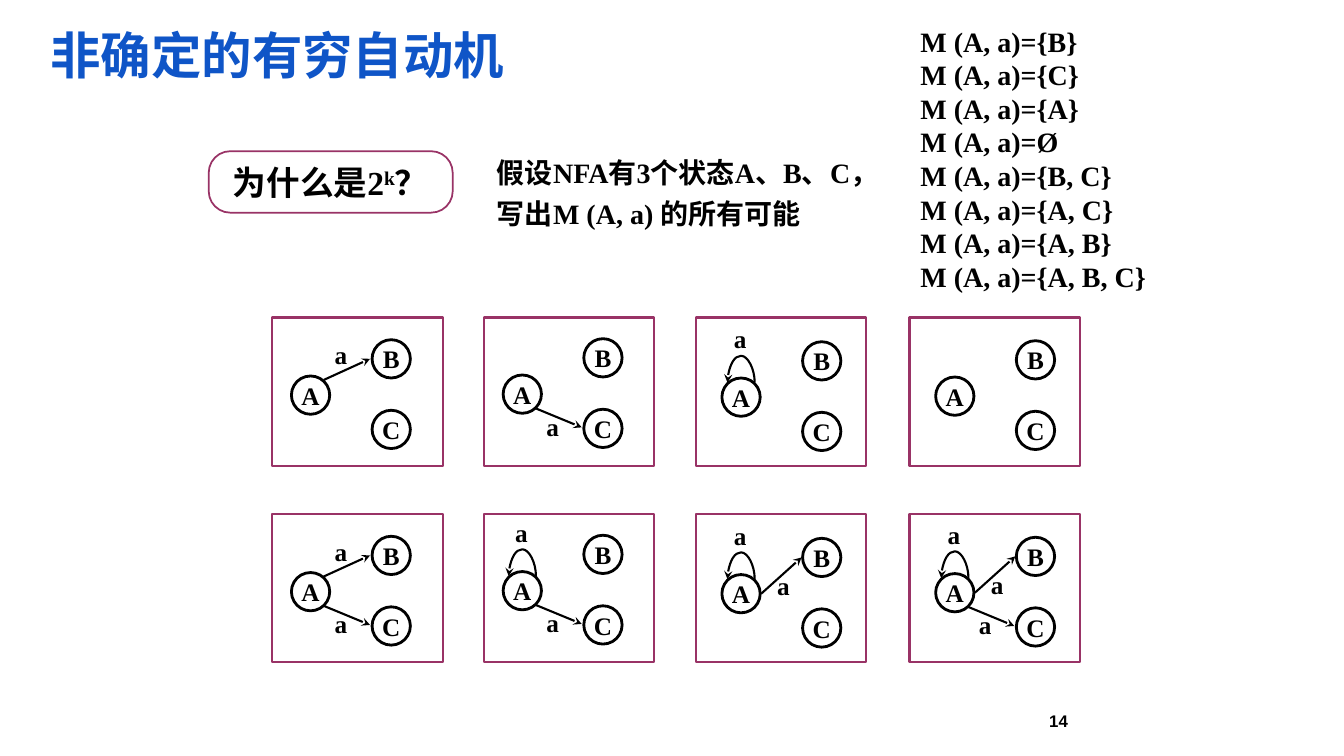
from dataclasses import dataclass
from typing import Any

from lxml import etree
from pptx import Presentation
from pptx.dml.color import RGBColor
from pptx.enum.shapes import MSO_CONNECTOR, MSO_SHAPE
from pptx.enum.text import MSO_ANCHOR, MSO_AUTO_SIZE, PP_ALIGN
from pptx.oxml.ns import qn
from pptx.util import Emu, Inches, Pt

STRAIGHT, CURVE = MSO_CONNECTOR.STRAIGHT, MSO_CONNECTOR.CURVE
RECTANGLE, ROUNDED, OVAL = MSO_SHAPE.RECTANGLE, MSO_SHAPE.ROUNDED_RECTANGLE, MSO_SHAPE.OVAL
LEFT, CENTER, RIGHT = PP_ALIGN.LEFT, PP_ALIGN.CENTER, PP_ALIGN.RIGHT
TOP, MIDDLE = MSO_ANCHOR.TOP, MSO_ANCHOR.MIDDLE
NO_FIT = MSO_AUTO_SIZE.NONE

GRID_CELL = Inches(1)
COLUMNS, ROWS = 13.33, 7.5
PLUM, BLACK, BLUE = "993366", "000000", "0F55C7"
SERIF, SANS = "Times New Roman", "Arial"

FRAME_SIZE = (1.69, 1.47)
FRAME_TOP, FRAME_PITCH = 3.15, 1.95
STATE_SIZE = 0.38
LABEL_SIZE = (0.39, 0.4)
STATES = {"A": (0, 0), "B": (0.8, -0.36), "C": (0.8, 0.34)}
LOOP_LABEL = (0.02, -0.59)
LOOP_BOX = (0.19, -0.09)
LOOP_THICKNESS, LOOP_SPAN = Emu(1588), 0.27
LOOP_BULGE = -16800000


@dataclass(frozen=True)
class Column:
    left: float
    state_left: float
    state_top: float


@dataclass(frozen=True)
class Move:
    start: tuple[float, float]
    end: tuple[float, float]
    label: tuple[float, float]


@dataclass(frozen=True)
class Automaton:
    column: int
    row: int
    moves: tuple[str, ...]


@dataclass(frozen=True)
class Span:
    text: str
    baseline: int = 0


FRAME_COLUMNS = (
    Column(2.7, 0.19, 0.58),
    Column(4.8, 0.19, 0.57),
    Column(6.9, 0.26, 0.6),
    Column(9.02, 0.26, 0.59),
)
MOVES = {
    "B": Move((0.32, 0.04), (0.78, -0.17), (0.33, -0.41)),
    "B steep": Move((0.39, 0.19), (0.79, -0.17), (0.45, -0.09)),
    "C": Move((0.32, 0.33), (0.78, 0.52), (0.33, 0.31)),
}
AUTOMATA = (
    Automaton(0, 0, ("B",)),
    Automaton(1, 0, ("C",)),
    Automaton(2, 0, ("loop",)),
    Automaton(3, 0, ()),
    Automaton(0, 1, ("B", "C")),
    Automaton(1, 1, ("loop", "C")),
    Automaton(2, 1, ("loop", "B steep")),
    Automaton(3, 1, ("loop", "B steep", "C")),
)
OUTCOMES = ("{B}", "{C}", "{A}", "Ø", "{B, C}", "{A, C}", "{A, B}", "{A, B, C}")


def cells(*counts: float) -> list[Emu]:
    return [Emu(round(count * GRID_CELL)) for count in counts]


def color(value: str) -> RGBColor:
    return RGBColor.from_string(value)


def apply(target: Any, values: dict[str, Any]) -> None:
    for name, value in values.items():
        setattr(target, name, value)


def write(box: Any, lines: list[list[Span]], size: float, align: Any = LEFT, anchor: Any = TOP,
          wrap: bool = True, font: str = SERIF, ink: str = BLACK, spacing: float = 1.0) -> None:
    frame = box.text_frame
    apply(frame, {"word_wrap": wrap, "vertical_anchor": anchor, "auto_size": NO_FIT})
    for index, line in enumerate(lines):
        para = frame.add_paragraph() if index else frame.paragraphs[0]
        apply(para, {"alignment": align, "line_spacing": spacing, "space_before": Pt(0)})
        for span in line:
            run = para.add_run()
            run.text = span.text
            apply(run.font, {"name": font, "size": Pt(size), "bold": True})
            run.font.color.rgb = color(ink)
            if span.baseline:
                run.font._element.set("baseline", str(span.baseline * 1000))


def add_text(page: Any, place: tuple[float, ...], lines: list[str], size: float, **style: Any) -> None:
    box = page.shapes.add_textbox(*cells(*place))
    write(box, [[Span(line)] for line in lines], size, **style)


def add_outline(page: Any, kind: Any, place: tuple[float, ...], ink: str, weight: float) -> Any:
    shape = page.shapes.add_shape(kind, *cells(*place))
    shape.shadow.inherit = False
    shape.fill.background()
    shape.line.color.rgb = color(ink)
    shape.line.width = Pt(weight)
    return shape


def add_arrow(page: Any, kind: Any, start: tuple[float, float], end: tuple[float, float]) -> Any:
    arrow = page.shapes.add_connector(kind, *cells(*start, *end))
    arrow.line.color.rgb = color(BLACK)
    arrow.line.width = Pt(1.5)
    etree.SubElement(arrow.line._get_or_add_ln(), qn("a:tailEnd"), type="stealth")
    etree.SubElement(arrow._element.spPr, qn("a:effectLst"))
    return arrow


def add_loop(page: Any, left: float, top: float) -> None:
    loop = add_arrow(page, CURVE, (left, top), (left, top + LOOP_SPAN))
    loop.width = LOOP_THICKNESS
    properties = loop._element.spPr
    for name, value in {"rot": "16200000", "flipH": "1", "flipV": "1"}.items():
        properties.find(qn("a:xfrm")).set(name, value)
    guides = properties.find(qn("a:prstGeom")).find(qn("a:avLst"))
    etree.SubElement(guides, qn("a:gd"), name="adj1", fmla=f"val {LOOP_BULGE}")


def add_automaton(page: Any, automaton: Automaton) -> None:
    column = FRAME_COLUMNS[automaton.column]
    frame_top = FRAME_TOP + automaton.row * FRAME_PITCH
    left, top = column.left + column.state_left, frame_top + column.state_top

    def shift(offset: tuple[float, float]) -> tuple[float, float]:
        return left + offset[0], top + offset[1]

    add_outline(page, RECTANGLE, (column.left, frame_top, *FRAME_SIZE), PLUM, 1.5)
    for name, offset in STATES.items():
        state = add_outline(page, OVAL, (*shift(offset), STATE_SIZE, STATE_SIZE), BLACK, 2)
        write(state, [[Span(name)]], 18, align=CENTER, anchor=MIDDLE, wrap=False)
    for name in automaton.moves:
        if name == "loop":
            add_loop(page, *shift(LOOP_BOX))
            label = LOOP_LABEL
        else:
            move = MOVES[name]
            add_arrow(page, STRAIGHT, shift(move.start), shift(move.end))
            label = move.label
        add_text(page, (*shift(label), *LABEL_SIZE), ["a"], 18)


def main() -> None:
    deck = Presentation()
    deck.slide_width, deck.slide_height = cells(COLUMNS, ROWS)
    page = deck.slides.add_slide(deck.slide_layouts[5])

    title = page.shapes.title
    apply(title, dict(zip(("left", "top", "width", "height"), cells(0.4, 0.07, 9.67, 0.86))))
    write(title, [[Span("非确定的有穷自动机")]], 36, ink=BLUE, spacing=1.2)

    question = add_outline(page, ROUNDED, (2.07, 1.5, 2.42, 0.61), PLUM, 1.25)
    question.adjustments[0] = 0.35
    write(question, [[Span("为什么是2"), Span("k", 30), Span("？")]], 24,
          align=CENTER, anchor=MIDDLE, wrap=False)

    add_text(page, (4.83, 1.43, 4.22, 0.91),
             ["假设NFA有3个状态A、B、C，", "写出M (A, a) 的所有可能"], 20, spacing=1.2)
    add_text(page, (9.03, 0.19, 2.44, 2.77),
             [f"M (A, a)={outcome}" for outcome in OUTCOMES], 20, wrap=False)
    for automaton in AUTOMATA:
        add_automaton(page, automaton)
    add_text(page, (9.38, 6.95, 1.31, 0.4), ["14"], 12, align=RIGHT, anchor=MIDDLE, font=SANS)
    deck.save("out.pptx")


if __name__ == "__main__":
    main()
